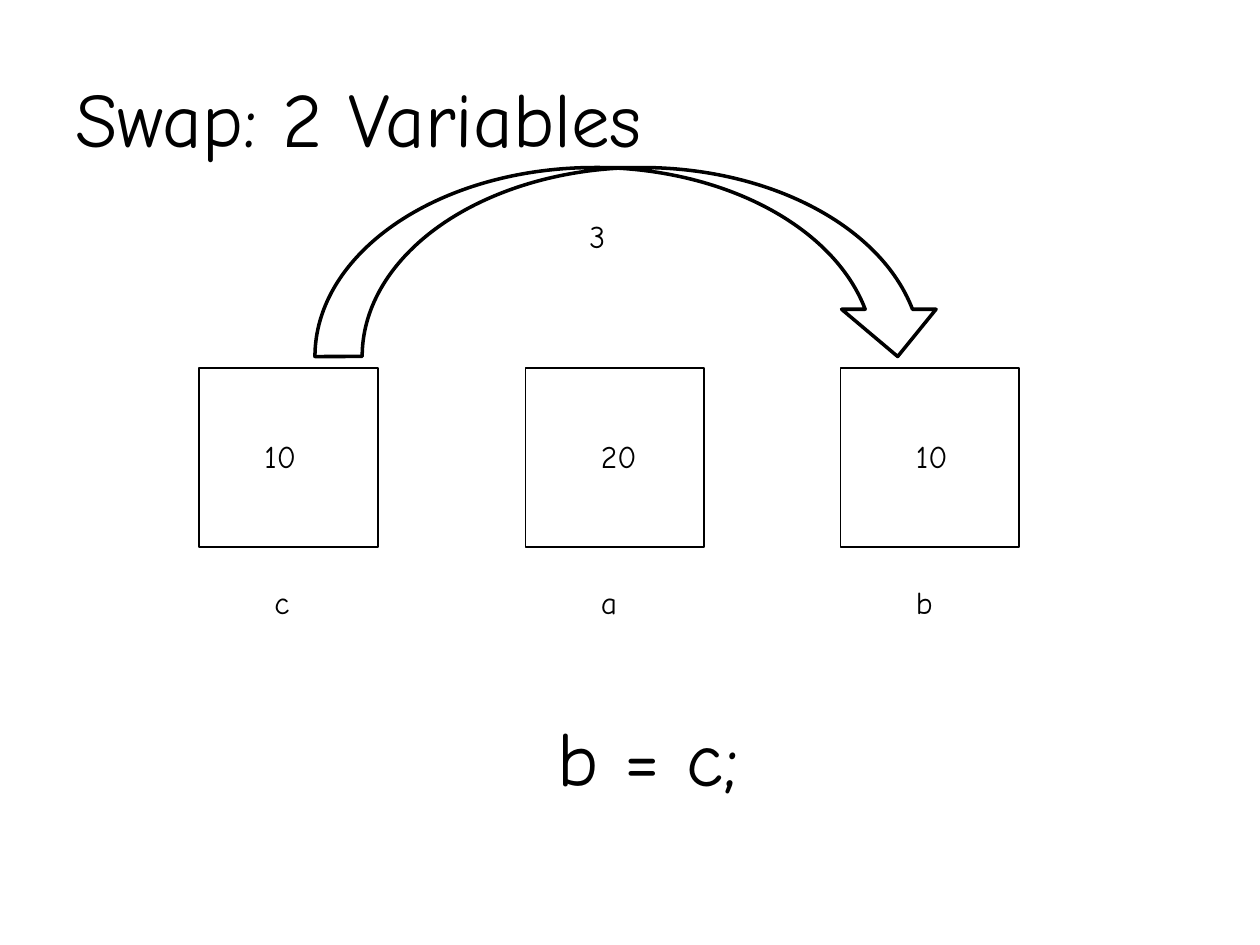
from dataclasses import dataclass

from pptx import Presentation
from pptx.dml.color import RGBColor
from pptx.enum.shapes import MSO_SHAPE as Preset
from pptx.enum.text import MSO_ANCHOR as Anchor, PP_ALIGN as Align
from pptx.util import Inches, Pt

TITLE = "Swap: 2 Variables"
STATEMENT = "b = c;"
STEP = "3"
# name, value, left of box, inset of name, inset of value
VARIABLES = [
    ("c", "10", 1.58, 0.5, 0.42),
    ("a", "20", 4.17, 0.5, 0.5),
    ("b", "10", 6.67, 0.5, 0.5),
]
BOX_TOP, BOX_SIDE = 2.92, 1.42
VALUE_TOP, NAME_TOP = BOX_TOP + 0.5, BOX_TOP + 1.66
LABEL_SIZE = (1.08, 0.4)


@dataclass(frozen=True)
class Theme:
    """Font, colour, type sizes and line widths of the slide."""
    font: str = "Comic Neue"
    ink: RGBColor = RGBColor(0, 0, 0)
    large: int = 44
    small: int = 18
    box_line: float = 1
    arrow_line: float = 2


THEME = Theme()


def add_text(slide, text, left, top, width, height, size=THEME.small, anchor=Anchor.TOP):
    """Add a left-aligned text box, with lengths in inches."""
    shape = slide.shapes.add_textbox(*map(Inches, (left, top, width, height)))
    frame = shape.text_frame
    frame.word_wrap = True
    frame.vertical_anchor = anchor
    frame.text = text
    paragraph = frame.paragraphs[0]
    paragraph.alignment = Align.LEFT
    font = paragraph.runs[0].font
    font.name, font.size = THEME.font, Pt(size)
    font.color.rgb = THEME.ink


def add_outline(slide, preset, left, top, width, height, line_width):
    """Add an unfilled preset shape, with lengths in inches."""
    shape = slide.shapes.add_shape(preset, *map(Inches, (left, top, width, height)))
    shape.shadow.inherit = False
    shape.fill.background()
    shape.line.color.rgb = THEME.ink
    shape.line.width = Pt(line_width)


def add_variable(slide, name, value, left, name_inset, value_inset):
    """Draw one variable as a box holding its value, with its name below."""
    add_outline(slide, Preset.RECTANGLE, left, BOX_TOP, BOX_SIDE, BOX_SIDE, THEME.box_line)
    add_text(slide, value, left + value_inset, VALUE_TOP, *LABEL_SIZE)
    add_text(slide, name, left + name_inset, NAME_TOP, *LABEL_SIZE)


def add_title(slide):
    """Fill the title placeholder."""
    title = slide.shapes.title
    title.left, title.top, title.width, title.height = map(Inches, (0.5, 0.3, 9, 1.25))
    frame = title.text_frame
    frame.text = TITLE
    frame.vertical_anchor = Anchor.MIDDLE
    paragraph = frame.paragraphs[0]
    paragraph.alignment = Align.LEFT
    font = paragraph.runs[0].font
    font.name, font.size = THEME.font, Pt(THEME.large)
    font.color.rgb = THEME.ink


def build():
    """Build and save the slide."""
    presentation = Presentation()
    presentation.slide_width, presentation.slide_height = Inches(10), Inches(7.5)
    blank = presentation.slide_layouts[6]
    slide = presentation.slides.add_slide(blank)
    add_text(slide, TITLE, 0.5, 0.3, 9, 1.25, THEME.large, Anchor.MIDDLE)
    for variable in VARIABLES:
        add_variable(slide, *variable)
    add_text(slide, STATEMENT, 4.33, 5.58, 2.25, 0.84, THEME.large)
    add_outline(slide, Preset.CURVED_DOWN_ARROW, 2.5, 1.33, 5, 1.5, THEME.arrow_line)
    add_text(slide, STEP, 4.58, 1.67, 0.5, 0.42)
    presentation.save("out.pptx")


build()
